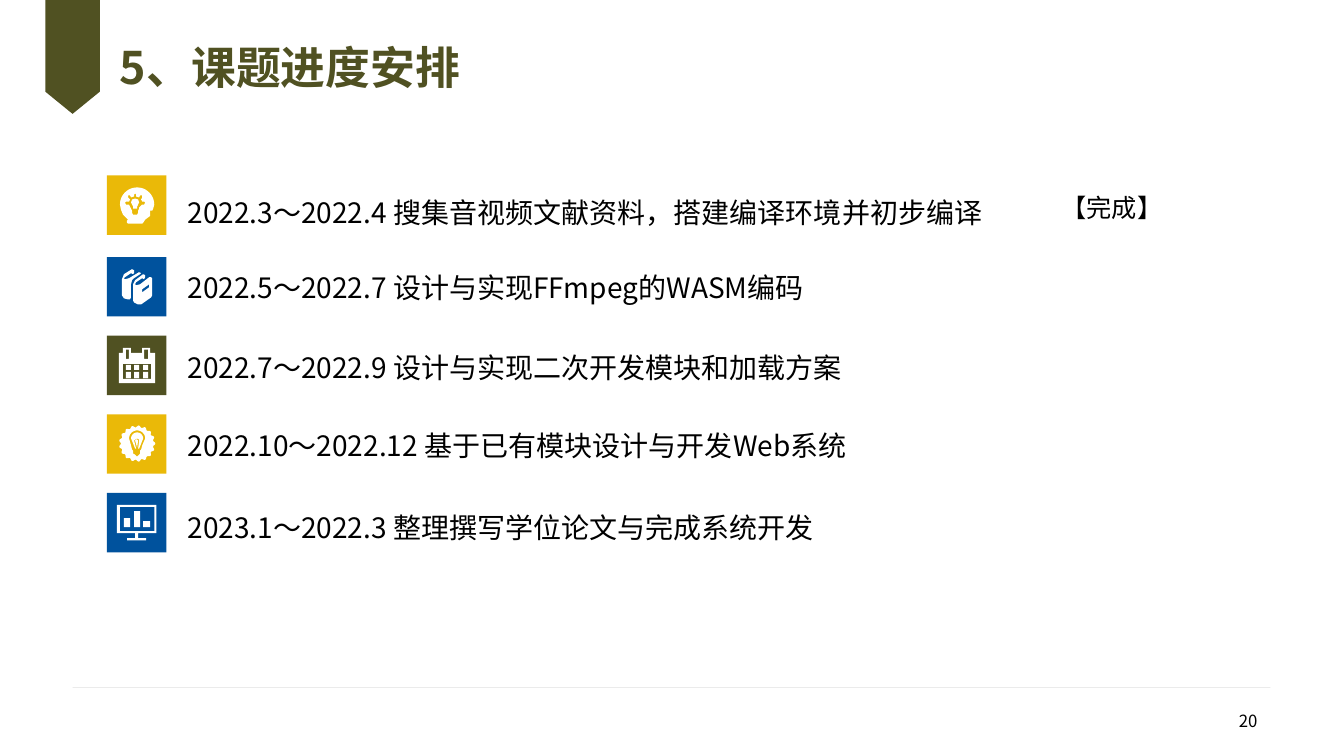
import math

from lxml import etree
from pptx import Presentation
from pptx import util as u
from pptx.dml.color import RGBColor
from pptx.enum import shapes, text
from pptx.oxml.ns import qn

PX = 9144  # EMU per px, 100 px to the inch
FONT = "Noto Sans CJK SC"
OLIVE, BLUE, YELLOW = "505122", "00529D", "EAB908"
BLACK, WHITE, GREY = "000000", "FFFFFF", "BFBFBF"
TILE_LEFT, TILE_SIZE = 106, 59
ROW_LEFT, ROW_WIDTH, ROW_HEIGHT = 186, 960, 80


def box(left, top, right, bottom):
    return [(left, top), (right, top), (right, bottom), (left, bottom)]


def dome(x, y, radius, steps=24):
    """Upper half circle, from left to right."""
    angles = [math.pi * (1 + step / steps) for step in range(steps + 1)]
    return [(x + radius * math.cos(a), y + radius * math.sin(a)) for a in angles]


def scallop(x, y, radius, depth, bumps, steps=8):
    points = []
    for step in range(bumps * steps):
        angle = 2 * math.pi * step / (bumps * steps)
        reach = radius + depth * math.cos(bumps * angle)
        points.append((x + reach * math.cos(angle), y + reach * math.sin(angle)))
    return points


# Icons: contours in px from the tile's corner; inner contours cut holes
IDEA = [
    dome(30, 29, 17) + [(46, 33), (45, 35), (43, 35), (43, 40), (42, 41), (38, 44), (36, 47),
                        (35, 48), (21, 48), (20, 47), (20, 45), (21, 44), (16, 39), (14, 34)],
    [(37, 29), (35, 29), (32, 32), (32, 33), (31, 35), (31, 37), (30, 39), (26, 39), (25, 37),
     (25, 35), (24, 33), (22, 29), (19, 29), (18, 27), (19, 26), (22, 26), (23, 24), (21, 22),
     (21, 20), (23, 20), (24, 22), (27, 21), (27, 19), (28, 18), (29, 19), (29, 21), (32, 22),
     (33, 20), (35, 20), (35, 22), (34, 24), (35, 26), (37, 26), (38, 27)],
    [(32, 27), (30, 31), (30, 33), (26, 33), (26, 31), (24, 27), (25, 24), (28, 23), (31, 24)],
]
BOOKS = [
    [(24, 27), (24, 40), (23, 42), (21, 42), (17, 41), (15, 38), (15, 22), (17, 17), (25, 12),
     (27, 13), (27, 16), (26, 17), (24, 16), (18, 20), (17, 21), (18, 22), (22, 21), (32, 15),
     (34, 16), (33, 17), (27, 21), (25, 23)],
    [(45, 21), (45, 38), (44, 40), (34, 47), (31, 47), (27, 45), (26, 43), (26, 27), (28, 23),
     (36, 17), (38, 18), (38, 20), (37, 22), (35, 21), (29, 25), (28, 27), (29, 28), (33, 27),
     (42, 20), (44, 20)],
    [(42, 27), (35, 32), (35, 35), (42, 30)],
]
CALENDAR = [
    [(12, 17), (16, 17), (16, 12), (24, 12), (24, 17), (35, 17), (35, 12), (43, 12), (43, 17),
     (48, 17), (48, 47), (12, 47)],
    box(16, 28, 44, 43), box(19, 14, 22, 23), box(37, 14, 41, 23),
] + [box(x, top, x + 5, bottom) for x in (19, 27, 36) for top, bottom in ((29, 34), (36, 42))]
BULB = [
    scallop(30, 29, 17, 1, 17),
    dome(30, 24, 8) + [(35, 31), (34, 35), (33, 36), (33, 39), (32, 40), (30, 42), (28, 40),
                       (26, 39), (26, 36), (25, 35), (24, 31)],
    dome(30, 24, 6) + [(34, 29), (32, 34), (31, 34), (32, 26), (32, 25), (30, 24), (28, 25),
                       (27, 26), (29, 34), (28, 34), (26, 29)],
    [(29, 25), (30, 25), (31, 26), (30, 33), (28, 26)],
]
MONITOR = [
    [(10, 12), (49, 12), (49, 40), (31, 40), (31, 45), (39, 45), (39, 47), (20, 47), (20, 45),
     (28, 45), (28, 40), (10, 40)],
    box(13, 14, 47, 38),
    box(17, 25, 23, 34), box(27, 18, 33, 34), box(36, 28, 43, 34),
]

# Schedule: tile top, text centre, tile colour, icon, wording
SCHEDULE = [
    (174, 206, YELLOW, IDEA, "2022.3～2022.4 搜集音视频文献资料，搭建编译环境并初步编译"),
    (255, 280, BLUE, BOOKS, "2022.5～2022.7 设计与实现FFmpeg的WASM编码"),
    (333, 359, OLIVE, CALENDAR, "2022.7～2022.9 设计与实现二次开发模块和加载方案"),
    (411, 437, YELLOW, BULB, "2022.10～2022.12 基于已有模块设计与开发Web系统"),
    (489, 518, BLUE, MONITOR, "2023.1～2022.3 整理撰写学位论文与完成系统开发"),
]
RIBBON = [[(45, 0), (99, 0), (99, 91), (72, 113), (45, 91)]]


def color(value):
    return RGBColor.from_string(value)


def paint(shape, fill):
    shape.shadow.inherit = False
    shape.fill.solid()
    shape.fill.fore_color.rgb = color(fill)
    shape.line.fill.background()


def add_outline(slide, contours, fill, left=0, top=0):
    placed = [[((left + x) * PX, (top + y) * PX) for x, y in contour] for contour in contours]
    builder = slide.shapes.build_freeform(*placed[0][0], scale=1.0)
    for index, contour in enumerate(placed):
        if index:
            builder.move_to(*contour[0])
        builder.add_line_segments(contour[1:], close=True)
    paint(builder.convert_to_shape(), fill)


def add_text(slide, bounds, wording, size, fill=BLACK, bold=False, spacing=1.0,
             align=text.PP_ALIGN.LEFT, side=0, edge=5, anchor=text.MSO_ANCHOR.MIDDLE):
    frame = slide.shapes.add_textbox(*[value * PX for value in bounds]).text_frame
    frame.word_wrap = True
    frame.vertical_anchor = anchor
    frame.margin_left = frame.margin_right = side * PX
    frame.margin_top = frame.margin_bottom = edge * PX
    paragraph = frame.paragraphs[0]
    paragraph.alignment = align
    paragraph.line_spacing = spacing
    run = paragraph.add_run()
    run.text = wording
    run.font.size = u.Pt(size)
    run.font.bold = bold
    run.font.color.rgb = color(fill)
    run.font.name = FONT
    etree.SubElement(run.font._element, qn("a:ea")).set("typeface", FONT)


def main():
    presentation = Presentation()
    presentation.slide_width, presentation.slide_height = u.Inches(13.33), u.Inches(7.5)
    slide = presentation.slides.add_slide(presentation.slide_layouts[6])

    # Footer rule and page number
    rule = slide.shapes.add_connector(shapes.MSO_CONNECTOR.STRAIGHT,
                                      72 * PX, 682 * PX, 1260 * PX, 682 * PX)
    rule.line.width = u.Pt(0.25)
    rule.line.color.rgb = color(GREY)
    properties = rule._element.spPr
    etree.SubElement(properties.find(".//" + qn("a:srgbClr")), qn("a:alpha")).set("val", "47000")
    etree.SubElement(properties, qn("a:effectLst"))
    add_text(slide, (957, 695, 300, 40), "20", 12, align=text.PP_ALIGN.RIGHT, side=10)

    # Ribbon and title
    add_outline(slide, RIBBON, OLIVE)
    add_text(slide, (119, 26, 893, 86), "5、课题进度安排", 32, OLIVE, bold=True,
             spacing=0.9, edge=0)

    # Schedule rows
    for top, centre, fill, icon, wording in SCHEDULE:
        tile = slide.shapes.add_shape(shapes.MSO_SHAPE.RECTANGLE, TILE_LEFT * PX, top * PX,
                                      TILE_SIZE * PX, TILE_SIZE * PX)
        paint(tile, fill)
        add_outline(slide, icon, WHITE, TILE_LEFT, top)
        add_text(slide, (ROW_LEFT, centre - ROW_HEIGHT // 2, ROW_WIDTH, ROW_HEIGHT),
                 wording, 20, spacing=1.3)

    # Status of the first row
    add_text(slide, (1043, 186, 214, 40), "【完成】", 18, side=10, anchor=text.MSO_ANCHOR.TOP)

    presentation.save("out.pptx")


if __name__ == "__main__":
    main()
